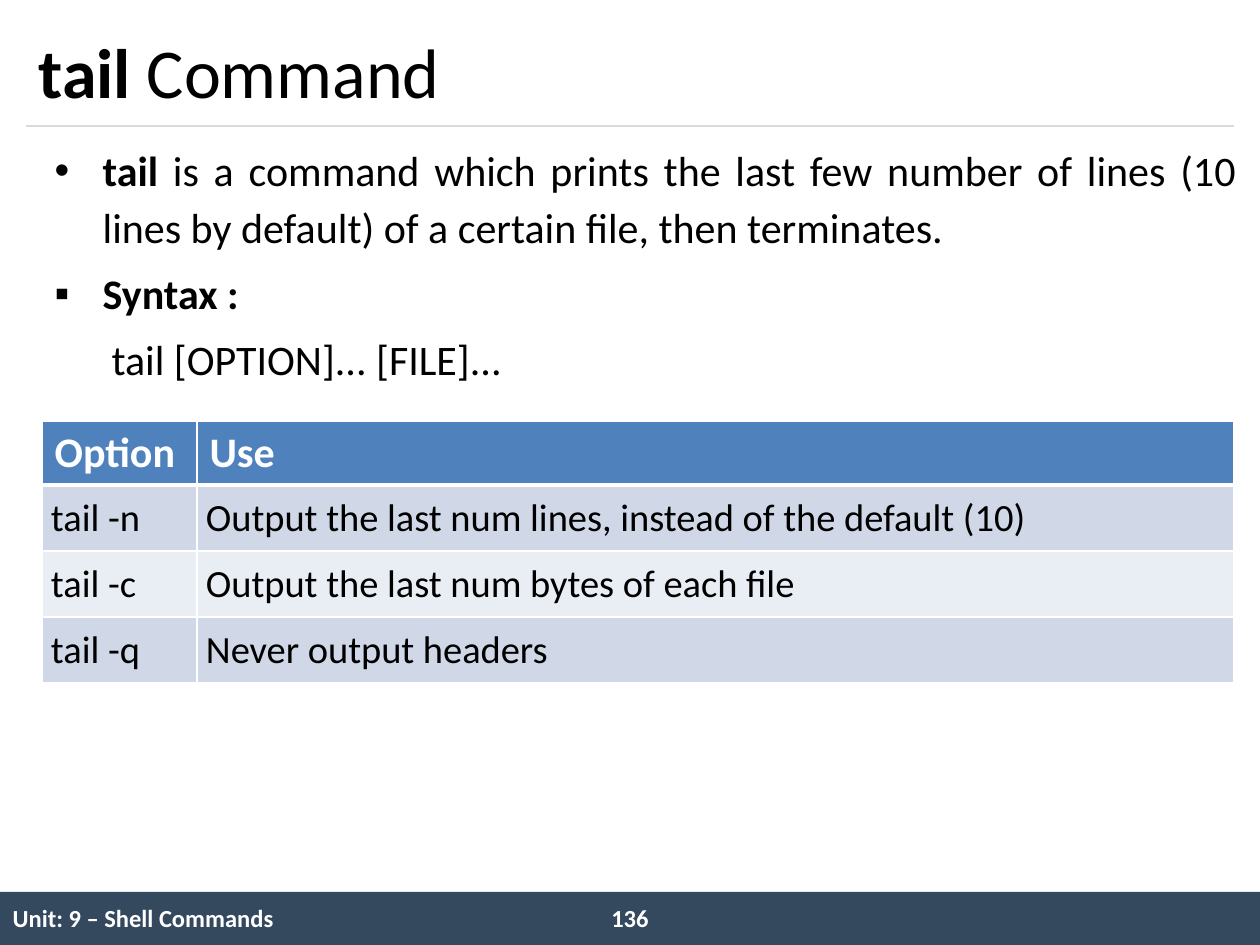
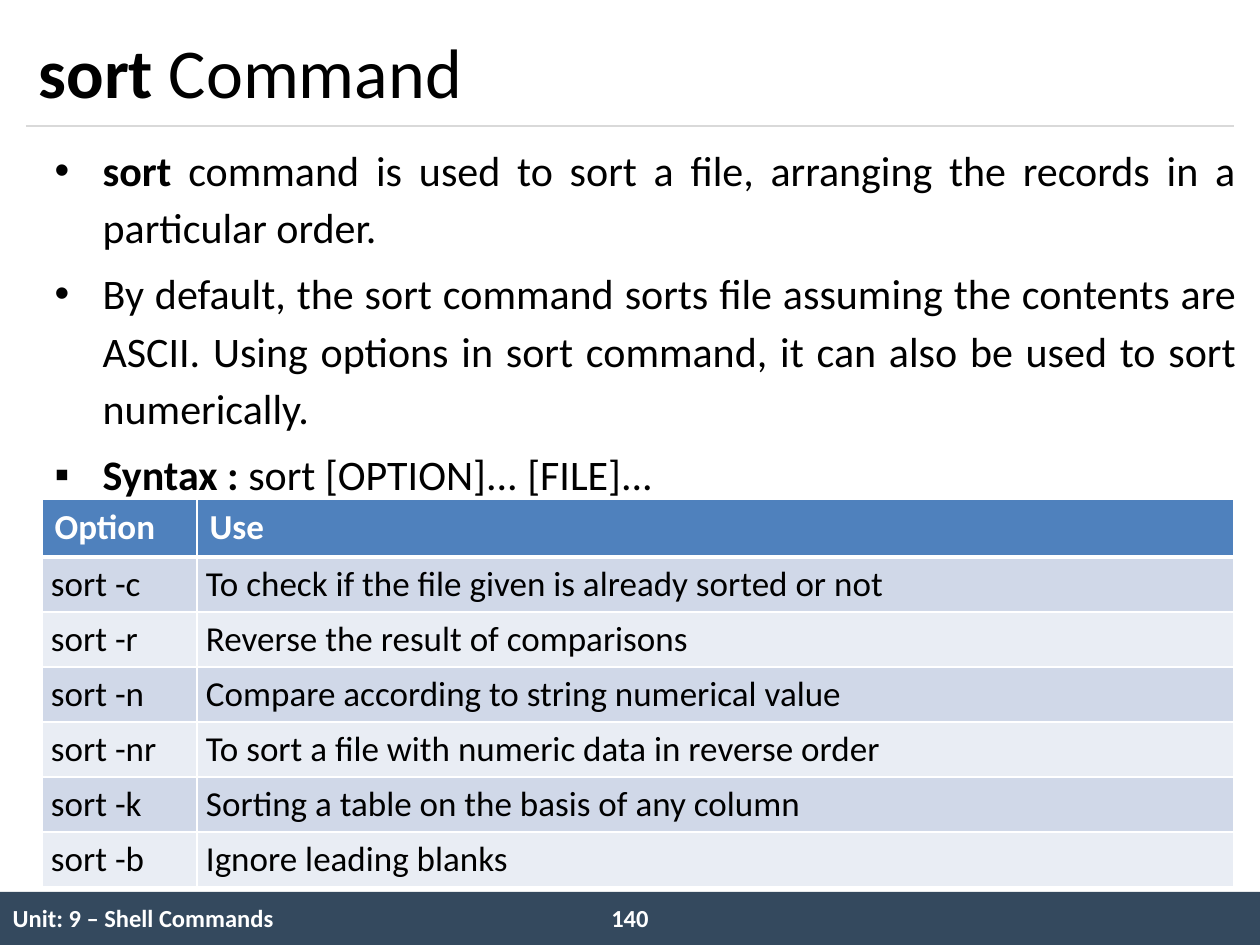
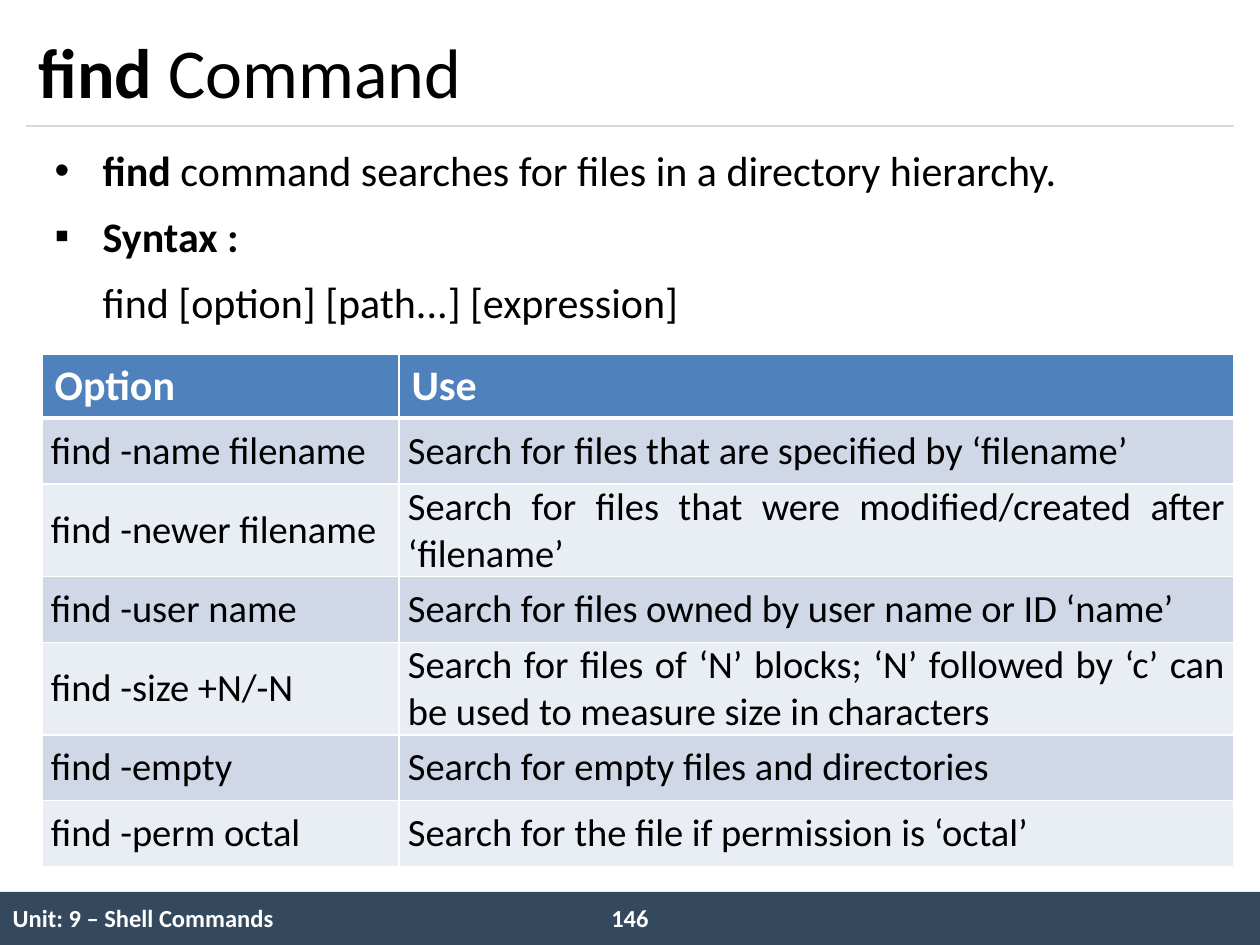
from lxml import etree
from pptx import Presentation
from pptx import util as u
from pptx.dml.color import RGBColor
from pptx.enum import shapes, text
from pptx.oxml.ns import qn

WHITE = RGBColor(0xFF, 0xFF, 0xFF)
BLACK = RGBColor(0, 0, 0)
NAVY = RGBColor(0x34, 0x49, 0x5E)
BLUE = RGBColor(0x4F, 0x81, 0xBD)
RULE = RGBColor(0xD9, 0xD9, 0xD9)
BANDS = [RGBColor(0xD0, 0xD8, 0xE8), RGBColor(0xE9, 0xED, 0xF4)]
PLAIN = "{2D5ABB26-0587-4C30-8999-92F81FD0307C}"
LEFT, MID, JUST = text.PP_ALIGN.LEFT, text.PP_ALIGN.CENTER, text.PP_ALIGN.JUSTIFY


def px(*nums):
    vals = [u.Emu(round(n * 914400 / 126)) for n in nums]
    return vals if len(vals) > 1 else vals[0]


def write(frame, bold="", rest="", size=24, color=BLACK, align=JUST,
          mark=None, dent=None):
    para = frame.paragraphs[0]
    first = not para.runs
    if not first:
        para = frame.add_paragraph()
    para.alignment = align
    if dent is not None:
        para.line_spacing = 1.14
        para.space_before = u.Pt(0 if first else 4.8)
        prop = para._p.get_or_add_pPr()
        prop.set("marL", str(px(dent)))
        prop.set("indent", str(px(-dent) if mark else 0))
        if mark:
            etree.SubElement(prop, qn("a:buFont")).set("typeface", "Arial")
            etree.SubElement(prop, qn("a:buChar")).set("char", mark)
        else:
            etree.SubElement(prop, qn("a:buNone"))
    for words, heavy in ((bold, True), (rest, False)):
        if words:
            run = para.add_run()
            run.text = words
            run.font.name = "Calibri"
            run.font.size = u.Pt(size)
            run.font.bold = heavy
            run.font.color.rgb = color


PAGES = [
    dict(
        name="tail", page="136", top=421, cols=(155, 1037), head=64, row=66,
        sizes=(24, 22),
        body=[
            ("tail", " is a command which prints the last few number of lines (10 lines by default) of a certain file, then terminates.", "•", 48),
            ("Syntax :", "", "▪", 48),
            ("", "tail [OPTION]... [FILE]...", None, 57),
        ],
        rows=[
            ("tail -n", "Output the last num lines, instead of the default (10)"),
            ("tail -c", "Output the last num bytes of each file"),
            ("tail -q", "Never output headers"),
        ],
    ),
    dict(
        name="sort", page="140", top=499, cols=(155, 1037), head=58, row=55,
        sizes=(20, 20),
        body=[
            ("sort", " command is used to sort a file, arranging the records in a particular order.", "•", 48),
            ("", "By default, the sort command sorts file assuming the contents are ASCII. Using options in sort command, it can also be used to sort numerically.", "•", 48),
            ("Syntax :", " sort [OPTION]... [FILE]...", "▪", 48),
        ],
        rows=[
            ("sort -c", "To check if the file given is already sorted or not"),
            ("sort -r", "Reverse the result of comparisons"),
            ("sort -n", "Compare according to string numerical value"),
            ("sort -nr", "To sort a file with numeric data in reverse order"),
            ("sort -k", "Sorting a table on the basis of any column"),
            ("sort -b", "Ignore leading blanks"),
        ],
    ),
    dict(
        name="find", page="146", top=354, cols=(357, 835), head=64, row=66,
        sizes=(24, 22),
        body=[
            ("find", " command searches for files in a directory hierarchy.", "•", 48),
            ("Syntax :", "", "▪", 48),
            ("", "find [option] [path...] [expression]", None, 48),
        ],
        rows=[
            ("find -name filename", "Search for files that are specified by ‘filename’"),
            ("find -newer filename", "Search for files that were modified/created after ‘filename’"),
            ("find -user name", "Search for files owned by user name or ID ‘name’"),
            ("find -size +N/-N", "Search for files of ‘N’ blocks; ‘N’ followed by ‘c’ can be used to measure size in characters"),
            ("find -empty", "Search for empty files and directories"),
            ("find -perm octal", "Search for the file if permission is ‘octal’"),
        ],
    ),
]

deck = Presentation()
deck.slide_width, deck.slide_height = px(1260, 945)

for item in PAGES:
    slide = deck.slides.add_slide(deck.slide_layouts[1])
    draw = slide.shapes

    bar = draw.add_shape(shapes.MSO_SHAPE.RECTANGLE, *px(0, 892, 1260, 53))
    bar.shadow.inherit = False
    bar.fill.solid()
    bar.fill.fore_color.rgb = NAVY
    bar.line.fill.background()

    foot = draw.add_table(1, 3, *px(0, 892, 1260, 54)).table
    foot._tbl.tblPr.find(qn("a:tableStyleId")).text = PLAIN
    for col, wide in zip(foot.columns, (640, 84, 536)):
        col.width = px(wide)
    for cell in foot.rows[0].cells:
        cell.fill.background()
        cell.vertical_anchor = text.MSO_ANCHOR.MIDDLE
    write(foot.cell(0, 0).text_frame, "Unit: 9 – Shell Commands", size=14,
          color=WHITE, align=LEFT)

    num = draw.add_textbox(*px(593, 897, 74, 43)).text_frame
    num.word_wrap = True
    write(num, item["page"], size=14, color=WHITE, align=MID)

    rule = draw.add_connector(shapes.MSO_CONNECTOR.STRAIGHT, *px(26, 126, 1234, 126))
    rule.line.color.rgb = RULE
    rule.line.width = u.Pt(0.75)
    etree.SubElement(rule._element.spPr, qn("a:effectLst"))

    title, body = draw.title, slide.placeholders[1]
    for hold, box in ((title, (26, 15, 1208, 111)), (body, (42, 131, 1207, 735))):
        hold.left, hold.top, hold.width, hold.height = px(*box)
        hold.text_frame.auto_size = text.MSO_AUTO_SIZE.NONE
    title.text_frame.vertical_anchor = text.MSO_ANCHOR.MIDDLE
    write(title.text_frame, item["name"], " Command", size=40, align=LEFT)
    for bold, rest, mark, dent in item["body"]:
        write(body.text_frame, bold, rest, mark=mark, dent=dent)

    rows = [("Option", "Use")] + item["rows"]
    tall = item["head"] + item["row"] * len(item["rows"])
    grid = draw.add_table(len(rows), 2, *px(42, item["top"], 1192, tall)).table
    for col, wide in zip(grid.columns, item["cols"]):
        col.width = px(wide)
    for r, row in enumerate(rows):
        grid.rows[r].height = px(item["row"] if r else item["head"])
        for c, words in enumerate(row):
            cell = grid.cell(r, c)
            cell.vertical_anchor = text.MSO_ANCHOR.MIDDLE
            cell.fill.solid()
            if r:
                cell.fill.fore_color.rgb = BANDS[(r - 1) % 2]
                cell.margin_left = cell.margin_right = px(9)
                cell.margin_top = cell.margin_bottom = 0
                write(cell.text_frame, rest=words, size=item["sizes"][1])
            else:
                cell.fill.fore_color.rgb = BLUE
                write(cell.text_frame, words, size=item["sizes"][0],
                      color=WHITE, align=JUST if c else LEFT)
            prop = cell._tc.get_or_add_tcPr()
            for k, side in enumerate("LRTB"):
                thick = 3 if (r, side) in ((0, "B"), (1, "T")) else 1
                edge = etree.Element(qn("a:ln" + side), w=str(u.Pt(thick)))
                fill = etree.SubElement(edge, qn("a:solidFill"))
                etree.SubElement(fill, qn("a:srgbClr")).set("val", str(WHITE))
                prop.insert(k, edge)

deck.save("out.pptx")
